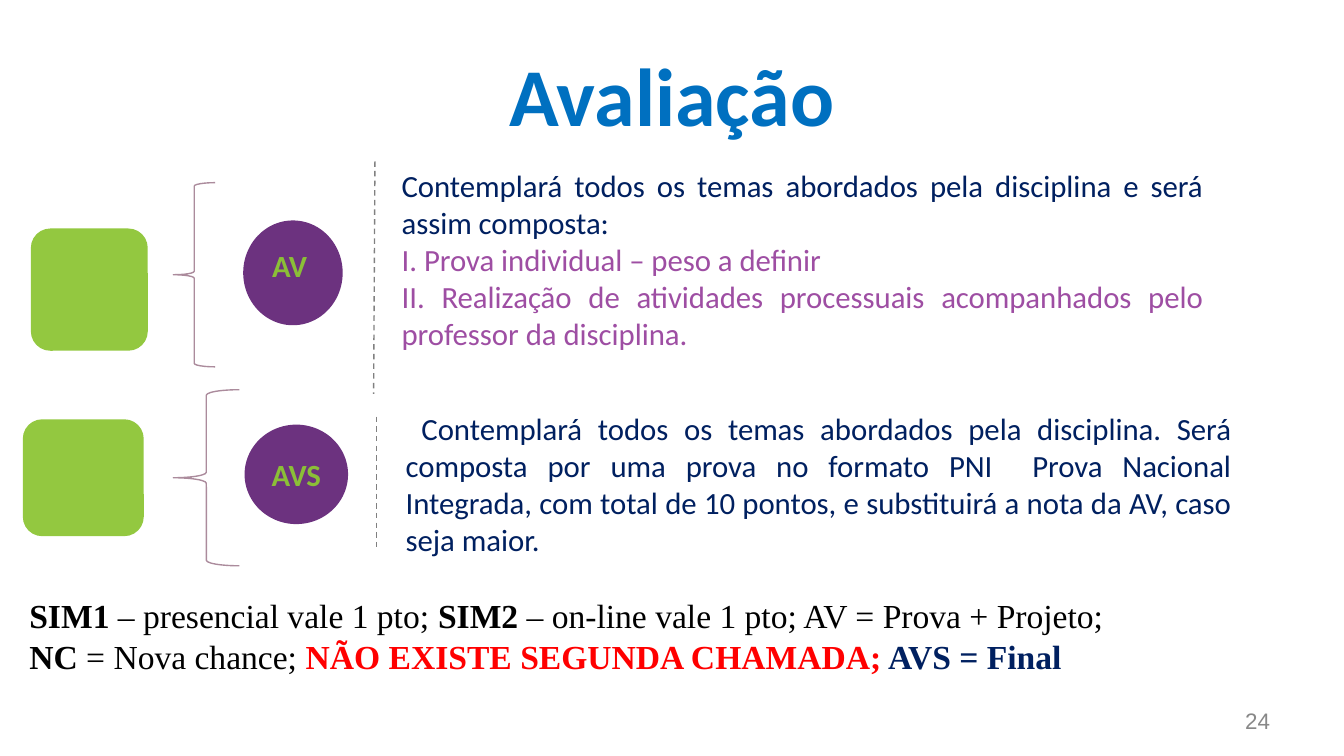
"""Build the assessment slide with its AV and AVS rows and closing notes."""
import pptx
import pptx.util
import pptx.dml.color
import pptx.enum.dml
import pptx.enum.shapes
import pptx.enum.text
import pptx.oxml.ns
from lxml import etree

Inches = pptx.util.Inches
Align = pptx.enum.text.PP_ALIGN
Anchor = pptx.enum.text.MSO_ANCHOR
Preset = pptx.enum.shapes.MSO_SHAPE

SLIDE_WIDTH = 10
SLIDE_HEIGHT = SLIDE_WIDTH * 9 / 16

COLORS = {
    "title": "0070C0", "navy": "002060", "violet": "9E4EA3", "purple": "6C327F",
    "green": "93C840", "label": "8BBF37", "brace": "AB8B9C", "dash": "808080",
    "number": "888888", "black": "000000", "red": "FF0000",
}

ROWS = [
    {
        "label": "AVS", "label_box": (1.62, 3.27, 1.17, 0.55),
        "square": (0.17, 3.12, 0.9, 0.87), "brace": (1.29, 2.9, 0.49, 1.31),
        "circle": (1.82, 3.16, 0.77, 0.74), "divider": (2.8, 3.1, 2.8, 4.08),
        "text_box": (2.92, 3, 6.34, 1.21), "space_before": 9,
        "paragraphs": [
            [(" Contemplará todos os temas abordados pela disciplina. Será composta "
              "por uma prova no formato PNI  Prova Nacional Integrada, com total de "
              "10 pontos, e substituirá a nota da AV, caso seja maior.", "navy", False)],
        ],
    },
    {
        "label": "AV", "label_box": (1.64, 1.7, 1.03, 0.58),
        "square": (0.23, 1.7, 0.87, 0.91), "brace": (1.29, 1.36, 0.31, 1.37),
        "circle": (1.81, 1.64, 0.74, 0.78), "divider": (2.79, 1.2, 2.78, 2.93),
        "text_box": (2.89, 1.19, 6.16, 1.49), "space_before": 0,
        "paragraphs": [
            [("Contemplará todos os temas abordados pela disciplina e será assim "
              "composta: ", "navy", False)],
            [("I. Prova individual – peso a definir", "violet", False)],
            [("II. Realização de atividades processuais acompanhados pelo professor "
              "da disciplina.", "violet", False)],
        ],
    },
]

NOTES = [
    [("SIM1", "black", True), (" – presencial vale 1 pto; ", "black", False),
     ("SIM2", "black", True),
     (" – on-line vale 1 pto; AV = Prova + Projeto;", "black", False)],
    [("NC", "black", True), (" = Nova chance; ", "black", False),
     ("NÃO EXISTE SEGUNDA CHAMADA;", "red", True), (" AVS = Final", "navy", True)],
]


def color(name):
    return pptx.dml.color.RGBColor.from_string(COLORS[name])


def add_text(slide, box, paragraphs, size, font="Calibri", align=Align.JUSTIFY,
             anchor=Anchor.TOP, margins=(0.1, 0.05), wrap=True,
             space_before=0, line_spacing=None):
    frame = slide.shapes.add_textbox(*map(Inches, box)).text_frame
    frame.word_wrap = wrap
    frame.vertical_anchor = anchor
    frame.margin_left = frame.margin_right = Inches(margins[0])
    frame.margin_top = frame.margin_bottom = Inches(margins[1])
    for index, runs in enumerate(paragraphs):
        paragraph = frame.add_paragraph() if index else frame.paragraphs[0]
        paragraph.alignment = align
        paragraph.space_before = pptx.util.Pt(space_before)
        paragraph.line_spacing = line_spacing
        for text, color_name, bold in runs:
            run = paragraph.add_run()
            run.text = text
            run.font.name = font
            run.font.size = pptx.util.Pt(size)
            run.font.bold = bold
            run.font.color.rgb = color(color_name)


def add_shape(slide, preset, box, fill=None, line=None):
    shape = slide.shapes.add_shape(preset, *map(Inches, box))
    shape.shadow.inherit = False
    if fill:
        shape.fill.solid()
        shape.fill.fore_color.rgb = color(fill)
    else:
        shape.fill.background()
    if line:
        shape.line.color.rgb = color(line)
        shape.line.width = pptx.util.Pt(0.75)
    else:
        shape.line.fill.background()


def add_divider(slide, ends):
    connector = slide.shapes.add_connector(
        pptx.enum.shapes.MSO_CONNECTOR.STRAIGHT, *map(Inches, ends))
    connector.line.color.rgb = color("dash")
    connector.line.width = pptx.util.Pt(0.75)
    connector.line.dash_style = pptx.enum.dml.MSO_LINE.DASH
    properties = connector.element.find(pptx.oxml.ns.qn("p:spPr"))
    etree.SubElement(properties, pptx.oxml.ns.qn("a:effectLst"))


def add_row(slide, row):
    add_divider(slide, row["divider"])
    add_text(slide, row["text_box"], row["paragraphs"], 16.5,
             space_before=row["space_before"])
    add_shape(slide, Preset.LEFT_BRACE, row["brace"], line="brace")
    add_shape(slide, Preset.ROUNDED_RECTANGLE, row["square"], fill="green")
    add_shape(slide, Preset.OVAL, row["circle"], fill="purple")
    add_text(slide, row["label_box"], [[(row["label"], "label", True)]], 16.5,
             align=Align.CENTER, anchor=Anchor.MIDDLE, margins=(0.07, 0.07),
             line_spacing=0.9)


def main():
    presentation = pptx.Presentation()
    presentation.slide_width = Inches(SLIDE_WIDTH)
    presentation.slide_height = Inches(SLIDE_HEIGHT)
    slide = presentation.slides.add_slide(presentation.slide_layouts[6])
    add_text(slide, (0.5, 0.23, 9, 0.94), [[("Avaliação", "title", True)]], 44,
             align=Align.CENTER, anchor=Anchor.MIDDLE, margins=(0.05, 0.05))
    add_text(slide, (9.21, 5.21, 0.29, 0.3), [[("24", "number", False)]], 12,
             font="Arial", align=Align.RIGHT, anchor=Anchor.MIDDLE,
             margins=(0.05, 0.05), wrap=False)
    for row in ROWS:
        add_row(slide, row)
    add_text(slide, (0.12, 4.38, 8.44, 0.71), NOTES, 18, font="Times New Roman")
    presentation.save("out.pptx")


if __name__ == "__main__":
    main()
